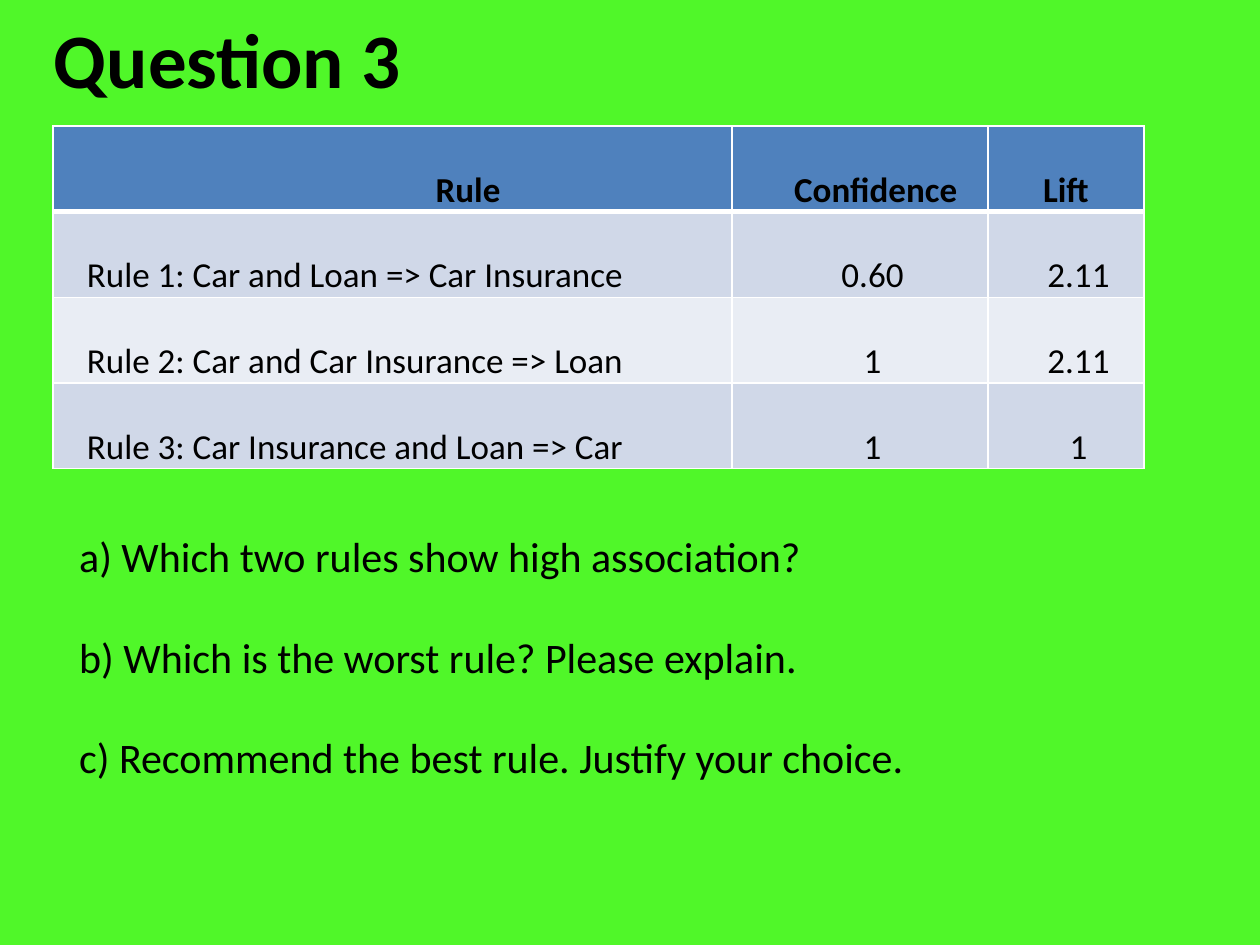
"""Build the Question 3 slide: association rules, their measures and three tasks."""
from dataclasses import dataclass

import lxml.etree
import pptx
import pptx.dml.color
import pptx.enum.text
import pptx.oxml.ns
import pptx.util

Inches = pptx.util.Inches
Pt = pptx.util.Pt
Align = pptx.enum.text.PP_ALIGN
Anchor = pptx.enum.text.MSO_ANCHOR
qn = pptx.oxml.ns.qn


@dataclass(frozen=True)
class Theme:
    font: str = "Calibri"
    background: str = "50F729"
    text: str = "000000"
    header: str = "4F81BD"
    bands: tuple = ("D0D8E8", "E9EDF4")
    border: str = "FFFFFF"
    title_size: int = 44
    table_size: int = 20
    task_size: int = 24


theme = Theme()


def style(paragraph, size, align, indent=0, spacing=1, bold=False):
    paragraph.font.name = theme.font
    paragraph.font.size = Pt(size)
    paragraph.font.bold = bold
    paragraph.font.color.rgb = pptx.dml.color.RGBColor.from_string(theme.text)
    paragraph.alignment = align
    paragraph.line_spacing = float(spacing)
    properties = paragraph._p.get_or_add_pPr()
    properties.set("marL", str(Inches(indent)))
    properties.set("indent", "0")


def add_border(cell, side, width):
    line = lxml.etree.SubElement(cell._tc.get_or_add_tcPr(), qn(f"a:ln{side}"), w=str(Pt(width)))
    fill = lxml.etree.SubElement(line, qn("a:solidFill"))
    lxml.etree.SubElement(fill, qn("a:srgbClr"), val=theme.border)


deck = pptx.Presentation()
deck.slide_width, deck.slide_height = Inches(10), Inches(7.5)
slide = deck.slides.add_slide(deck.slide_layouts[6])
slide.background.fill.solid()
slide.background.fill.fore_color.rgb = pptx.dml.color.RGBColor.from_string(theme.background)

title = slide.shapes.add_textbox(Inches(0.33), Inches(0), Inches(8.7), Inches(0.92)).text_frame
title.word_wrap = True
title.vertical_anchor = Anchor.MIDDLE
title.text = "Question 3"
style(title.paragraphs[0], theme.title_size, Align.LEFT, bold=True)

rules = [
    ("Rule", "Confidence", "Lift"),
    ("Rule 1: Car and Loan => Car Insurance", "0.60", "2.11"),
    ("Rule 2: Car and Car Insurance => Loan", "1", "2.11"),
    ("Rule 3: Car Insurance and Loan => Car", "1", "1"),
]
column_widths = (5.39, 2.03, 1.24)
header_indents = (1.2, 0.25, 0)
row_height = 0.68
table = slide.shapes.add_table(
    len(rules), len(column_widths), Inches(0.42), Inches(1),
    Inches(sum(column_widths)), Inches(row_height * len(rules)),
).table
for column, width in zip(table.columns, column_widths):
    column.width = Inches(width)

for row, values in enumerate(rules):
    is_header = row == 0
    color = theme.header if is_header else theme.bands[(row - 1) % 2]
    for column, value in enumerate(values):
        cell = table.cell(row, column)
        cell.text = value
        cell.margin_left = cell.margin_right = Inches(0.07)
        cell.margin_top = cell.margin_bottom = 0
        paragraph = cell.text_frame.paragraphs[0]
        align = Align.CENTER if is_header or column else Align.LEFT
        indent = header_indents[column] if is_header else 0.2
        style(paragraph, theme.table_size, align, indent, spacing=2, bold=is_header)
        paragraph.space_after = Pt(6)
        for side in "LRTB":
            heavy = (is_header and side == "B") or (row == 1 and side == "T")
            add_border(cell, side, 3 if heavy else 1)
        cell.fill.solid()
        cell.fill.fore_color.rgb = pptx.dml.color.RGBColor.from_string(color)

tasks = [
    "a) Which two rules show high association?",
    "b) Which is the worst rule? Please explain.",
    "c) Recommend the best rule. Justify your choice.",
]
task_frame = slide.shapes.add_textbox(Inches(0.33), Inches(3.76), Inches(9.25), Inches(2.93)).text_frame
task_frame.word_wrap = True
task_frame.text = "\n".join(tasks)
for paragraph in task_frame.paragraphs:
    style(paragraph, theme.task_size, Align.JUSTIFY, indent=0.2, spacing=2)

deck.save("out.pptx")
